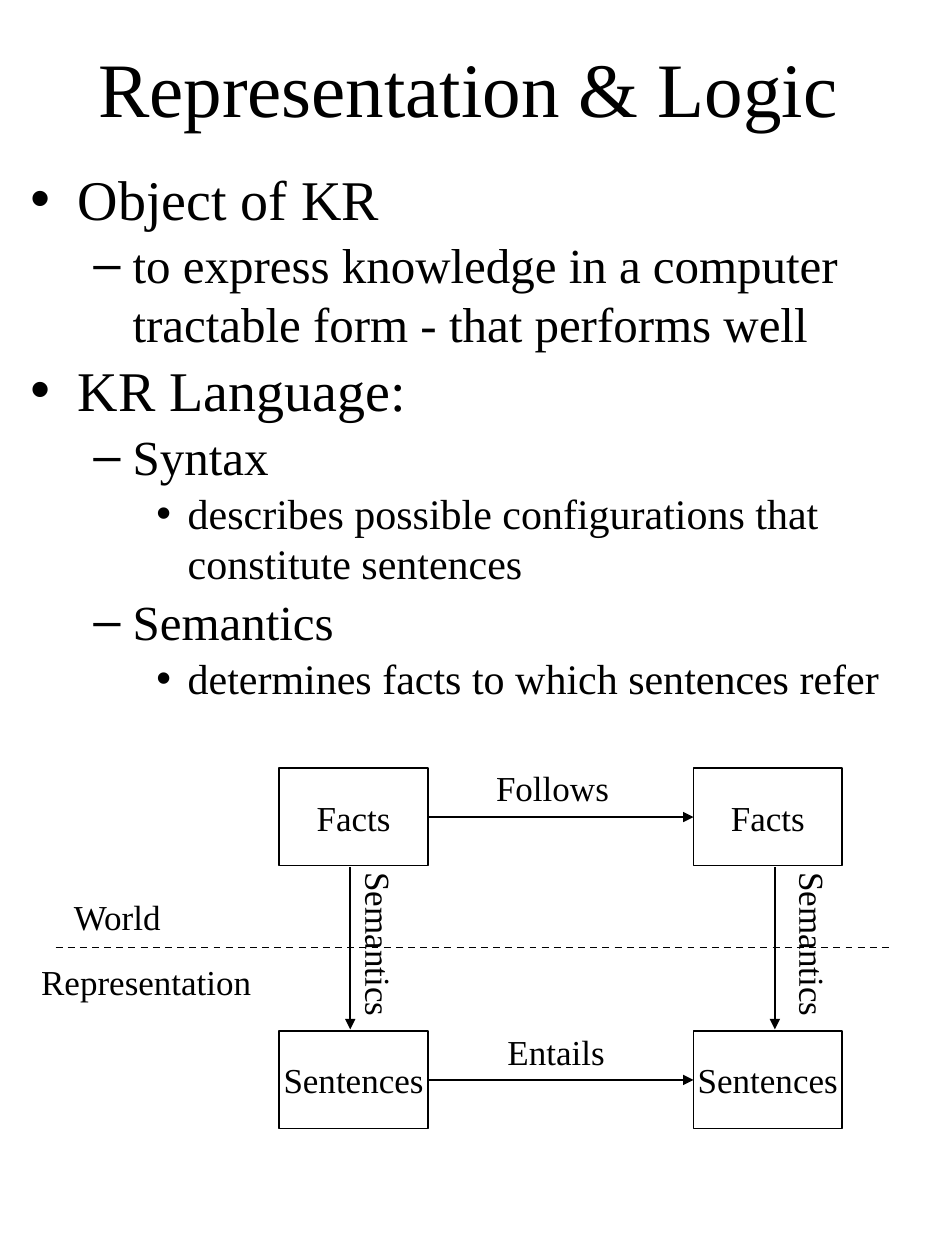
from dataclasses import dataclass

from lxml.etree import SubElement
from pptx import Presentation
from pptx.dml.color import RGBColor
from pptx.enum.dml import MSO_LINE
from pptx.enum.shapes import MSO_CONNECTOR, MSO_SHAPE
from pptx.enum.text import MSO_ANCHOR as Anchor, MSO_AUTO_SIZE as AutoSize, PP_ALIGN as Align
from pptx.oxml.ns import qn
from pptx.util import Cm, Pt


@dataclass
class Theme:
    font: str = "Times New Roman"
    ink: RGBColor = RGBColor(0, 0, 0)
    title: int = 44
    levels: tuple = (32, 28, 24)
    diagram: int = 20
    line: int = 1


theme = Theme()


def style_text(paragraph, size, align=Align.LEFT):
    paragraph.alignment = align
    for run in paragraph.runs:
        run.font.name = theme.font
        run.font.size = Pt(size)
        run.font.color.rgb = theme.ink


def add_line(start, end, arrow=False):
    line = slide.shapes.add_connector(MSO_CONNECTOR.STRAIGHT, *start, *end)
    line.line.color.rgb = theme.ink
    line.line.width = Pt(theme.line)
    if arrow:
        SubElement(line.line._get_or_add_ln(), qn("a:tailEnd"), type="triangle")
    SubElement(line._element.spPr, qn("a:effectLst"))
    return line


presentation = Presentation()
presentation.slide_width, presentation.slide_height = Cm(19.05), Cm(25.4)
slide = presentation.slides.add_slide(presentation.slide_layouts[1])

# Title
title = slide.shapes.title
title.left, title.top, title.width, title.height = Cm(0.81), Cm(0.5), Cm(17.27), Cm(2.5)
title.text_frame.text = "Representation & Logic"
title.text_frame.vertical_anchor = Anchor.MIDDLE
title.text_frame.auto_size = AutoSize.NONE
style_text(title.text_frame.paragraphs[0], theme.title, Align.CENTER)

# Bulleted outline: level and wording
outline = [
    (0, "Object of KR"),
    (1, "to express knowledge in a computer tractable form - that performs well"),
    (0, "KR Language:"),
    (1, "Syntax"),
    (2, "describes possible configurations that constitute sentences"),
    (1, "Semantics"),
    (2, "determines facts to which sentences refer"),
]
# Per level: bullet, left margin, hanging indent, space before
level_formats = [
    ("•", Cm(0.95), Cm(0.95), Pt(2)),
    ("–", Cm(2.06), Cm(0.79), Pt(1.8)),
    ("•", Cm(3.17), Cm(0.63), Pt(1.5)),
]
body = slide.placeholders[1]
body.left, body.top, body.width, body.height = Cm(0.36), Cm(3.18), Cm(18.21), Cm(11.07)
body.text_frame.text = "\n".join(text for _, text in outline)
body.text_frame.auto_size = AutoSize.NONE
for paragraph, (level, _) in zip(body.text_frame.paragraphs, outline):
    bullet, margin, hanging, space = level_formats[level]
    paragraph.level = level
    paragraph.space_before = space
    style_text(paragraph, theme.levels[level])
    properties = paragraph._p.get_or_add_pPr()
    properties.set("marL", str(margin))
    properties.set("indent", str(-hanging))
    color = SubElement(properties, qn("a:buClr"))
    SubElement(color, qn("a:srgbClr"), val=str(theme.ink))
    SubElement(properties, qn("a:buChar"), char=bullet)

# Divider between world and representation
divider = add_line((Cm(1.12), Cm(19.1)), (Cm(17.93), Cm(19.1)))
divider.line.dash_style = MSO_LINE.DASH

# Boxes: facts above, sentences below
boxes = {}
for row, (text, top) in enumerate([("Facts", Cm(15.49)), ("Sentences", Cm(20.79))]):
    for column, left in enumerate([Cm(5.63), Cm(13.98)]):
        box = slide.shapes.add_shape(MSO_SHAPE.RECTANGLE, left, top, Cm(3), Cm(1.96))
        box.shadow.inherit = False
        box.fill.background()
        box.line.color.rgb = theme.ink
        box.line.width = Pt(theme.line)
        box.text_frame.text = text
        box.text_frame.word_wrap = False
        box.text_frame.vertical_anchor = Anchor.MIDDLE
        style_text(box.text_frame.paragraphs[0], theme.diagram, Align.CENTER)
        boxes[row, column] = box

# Arrows across each row, joined to the boxes
for row in range(2):
    arrow = add_line((0, 0), (0, 0), arrow=True)
    arrow.begin_connect(boxes[row, 0], 3)
    arrow.end_connect(boxes[row, 1], 1)

# Arrows down each column, slightly off the middle of the boxes
for x in (Cm(7.06), Cm(15.62)):
    add_line((x, Cm(17.48)), (x, Cm(20.75)), arrow=True)

# Labels: text, left, top, width, rotation
labels = [
    ("World", Cm(1.24), Cm(17.93), Cm(2.35), 0),
    ("Representation", Cm(0.58), Cm(19.23), Cm(4.8), 0),
    ("Entails", Cm(9.98), Cm(20.65), Cm(2.55), 0),
    ("Follows", Cm(9.75), Cm(15.32), Cm(2.85), 0),
    ("Semantics", Cm(14.65), Cm(18.54), Cm(3.5), 90),
    ("Semantics", Cm(5.9), Cm(18.54), Cm(3.5), 90),
]
for text, left, top, width, rotation in labels:
    label = slide.shapes.add_textbox(left, top, width, Cm(1.09))
    label.rotation = rotation
    label.text_frame.text = text
    label.text_frame.word_wrap = False
    label.text_frame.auto_size = AutoSize.SHAPE_TO_FIT_TEXT
    style_text(label.text_frame.paragraphs[0], theme.diagram)

presentation.save("out.pptx")
